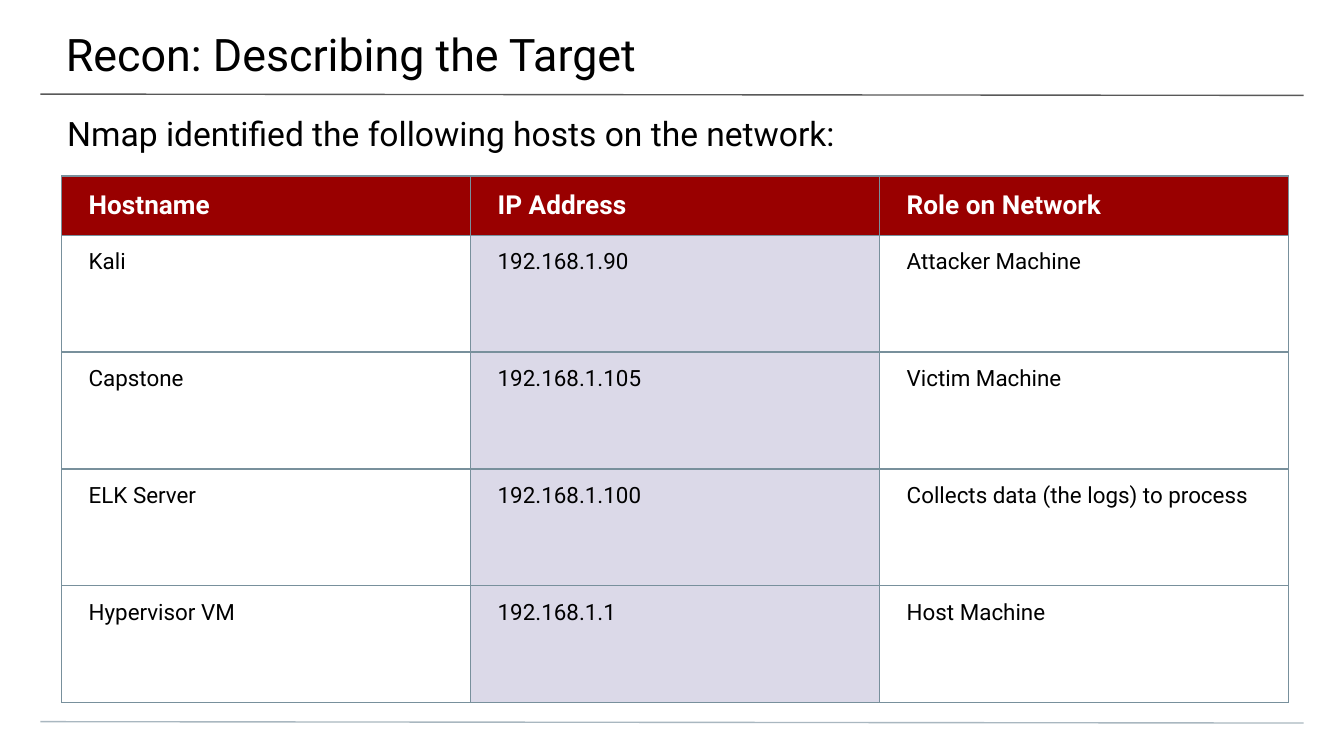
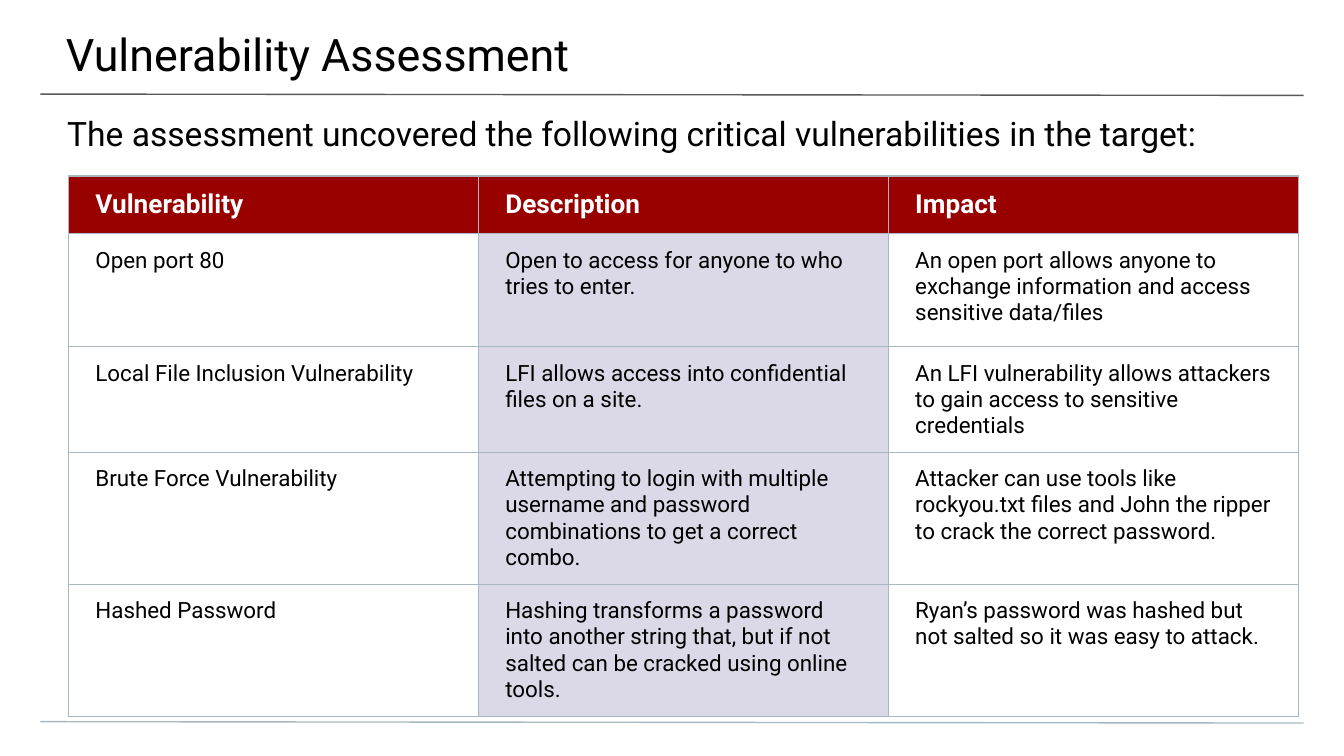
"""Build two security assessment slides, each with a heading and a table."""
import pptx
import pptx.dml.color
import pptx.enum.shapes
import pptx.enum.text
import pptx.oxml.ns
import pptx.util
from lxml import etree

Inches = pptx.util.Inches
Pt = pptx.util.Pt
Anchor = pptx.enum.text.MSO_ANCHOR

COLORS = {
    "text": "000000",
    "header_text": "FFFFFF",
    "header": "990000",
    "middle_column": "DBD9E8",
    "title_rule": "595959",
    "footer_rule": "A9B7C0",
    "slate_border": "78909C",
}
RULES = [(0.7, "title_rule"), (5.37, "footer_rule")]

SLIDES = [
    {
        "title": "Recon: Describing the Target",
        "subtitle": "Nmap identified the following hosts on the network:",
        "left": 0.46,
        "table_width": 9.13,
        "row_heights": [0.44, 0.87, 0.87, 0.87, 0.87],
        "border": "slate_border",
        "rows": [
            ["Hostname", "IP Address", "Role on Network"],
            ["Kali", "192.168.1.90", "Attacker Machine"],
            ["Capstone", "192.168.1.105", "Victim Machine"],
            ["ELK Server", "192.168.1.100", "Collects data (the logs) to process"],
            ["Hypervisor VM", "192.168.1.1", "Host Machine"],
        ],
    },
    {
        "title": "Vulnerability Assessment",
        "subtitle": "The assessment uncovered the following critical vulnerabilities in the target:",
        "left": 0.51,
        "table_width": 9.15,
        "row_heights": [0.43, 0.84, 0.75, 0.84, 0.68],
        "border": "footer_rule",
        "rows": [
            ["Vulnerability", "Description", "Impact"],
            ["Open port 80",
             "Open to access for anyone to who tries to enter.",
             "An open port allows anyone to exchange information and access sensitive data/files"],
            ["Local File Inclusion Vulnerability",
             "LFI allows access into confidential files on a site.",
             "An LFI vulnerability allows attackers to gain access to sensitive credentials"],
            ["Brute Force Vulnerability",
             "Attempting to login with multiple username and password combinations "
             "to get a correct combo.",
             "Attacker can use tools like rockyou.txt files and John the ripper "
             "to crack the correct password."],
            ["Hashed Password",
             "Hashing transforms a password into another string that, but if not salted "
             "can be cracked using online tools.",
             "Ryan’s password was hashed but not salted so it was easy to attack."],
        ],
    },
]


def color(name):
    return pptx.dml.color.RGBColor.from_string(COLORS[name])


def write(frame, text, size, color_name="text", bold=False):
    paragraph = frame.paragraphs[0]
    paragraph.alignment = pptx.enum.text.PP_ALIGN.LEFT
    paragraph.space_before = Pt(0)
    run = paragraph.add_run()
    run.text = text
    run.font.name = "Roboto"
    run.font.size = Pt(size)
    run.font.bold = bold
    run.font.color.rgb = color(color_name)


presentation = pptx.Presentation()
presentation.slide_width = Inches(10)
presentation.slide_height = Inches(10 * 9 / 16)

for content in SLIDES:
    slide = presentation.slides.add_slide(presentation.slide_layouts[0])

    for top, rule_color in RULES:
        rule = slide.shapes.add_connector(
            pptx.enum.shapes.MSO_CONNECTOR.STRAIGHT,
            Inches(0.3), Inches(top), Inches(9.7), Inches(top + 0.01))
        rule.line.color.rgb = color(rule_color)
        rule.line.width = Pt(0.75)
        etree.SubElement(rule._element.spPr, pptx.oxml.ns.qn("a:effectLst"))

    headings = [
        (slide.shapes.title, content["title"], 24, (-0.01, 0, 10.03, 0.58), (0.5, 0.2, 0.3, 0.1)),
        (slide.placeholders[1], content["subtitle"], 18, (0, 0.74, 10, 0.4), (0.5, 0.1, 0.5, 0)),
    ]
    for shape, text, size, box, margins in headings:
        shape.left, shape.top, shape.width, shape.height = map(Inches, box)
        frame = shape.text_frame
        frame.word_wrap = True
        frame.auto_size = pptx.enum.text.MSO_AUTO_SIZE.NONE
        frame.vertical_anchor = Anchor.TOP
        (frame.margin_left, frame.margin_top,
         frame.margin_right, frame.margin_bottom) = map(Inches, margins)
        write(frame, text, size)

    rows = content["rows"]
    table = slide.shapes.add_table(
        len(rows), 3, Inches(content["left"]), Inches(1.31),
        Inches(content["table_width"]), Inches(sum(content["row_heights"]))).table
    for column in table.columns:
        column.width = Inches(content["table_width"] / 3)
    for row, height in zip(table.rows, content["row_heights"]):
        row.height = Inches(height)

    for row_index, texts in enumerate(rows):
        for column_index, text in enumerate(texts):
            cell = table.cell(row_index, column_index)
            cell.margin_left = cell.margin_right = Inches(0.2)
            cell.margin_top = cell.margin_bottom = Inches(0.1)
            properties = cell._tc.get_or_add_tcPr()
            for side in ("a:lnL", "a:lnR", "a:lnT", "a:lnB"):
                border = etree.SubElement(properties, pptx.oxml.ns.qn(side), w=str(Pt(0.75)))
                fill = etree.SubElement(border, pptx.oxml.ns.qn("a:solidFill"))
                etree.SubElement(fill, pptx.oxml.ns.qn("a:srgbClr"), val=COLORS[content["border"]])
            if row_index == 0:
                cell.vertical_anchor = Anchor.MIDDLE
                cell.fill.solid()
                cell.fill.fore_color.rgb = color("header")
                write(cell.text_frame, text, 14, "header_text", True)
            else:
                cell.vertical_anchor = Anchor.TOP
                if column_index == 1:
                    cell.fill.solid()
                    cell.fill.fore_color.rgb = color("middle_column")
                else:
                    cell.fill.background()
                write(cell.text_frame, text, 12)

presentation.save("out.pptx")
